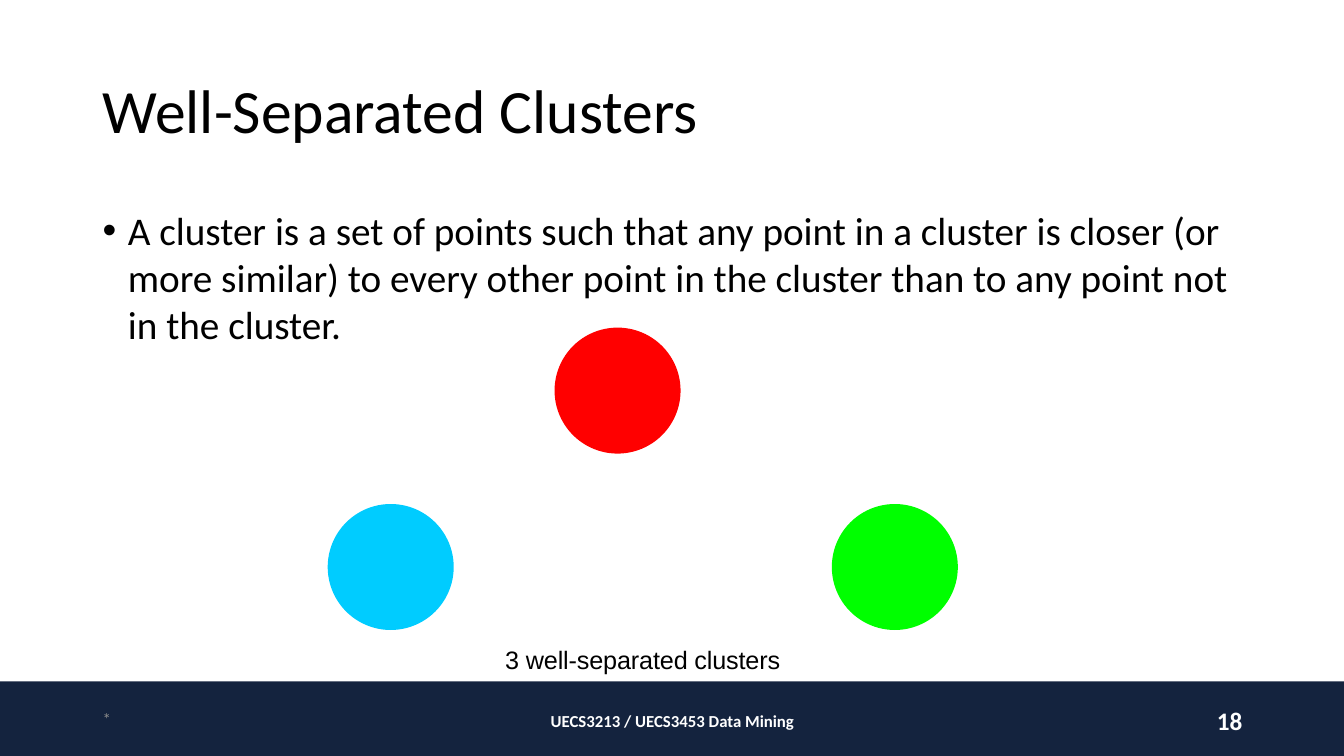
from lxml import etree
from pptx import Presentation
from pptx.dml.color import RGBColor
from pptx.enum import shapes, text
from pptx.oxml.ns import qn
from pptx.util import Inches, Pt

NAVY = RGBColor(0x14, 0x23, 0x3E)
BLACK = RGBColor(0, 0, 0)
WHITE = RGBColor(0xFF, 0xFF, 0xFF)
GREY = RGBColor(0x8C, 0x8C, 0x8C)
CYAN = RGBColor(0, 0xCC, 0xFF)
GREEN = RGBColor(0, 0xFF, 0)
RED = RGBColor(0xFF, 0, 0)

CLUSTER_SIZE = 1.25
CLUSTERS = [(3.25, 5, CYAN), (8.25, 5, GREEN), (5.5, 3.25, RED)]

MIDDLE = text.MSO_ANCHOR.MIDDLE
FOOTER = {"size": Pt(12), "bold": True}


def add_filled(s, kind, left, top, width, height, color):
    sp = s.shapes.add_shape(
        kind, Inches(left), Inches(top), Inches(width), Inches(height))
    sp.shadow.inherit = False
    sp.fill.solid()
    sp.fill.fore_color.rgb = color
    sp.line.fill.background()


def add_text(s, words, box, font, color=BLACK, frame=None, para=None, bullet=False):
    """Add a one-paragraph text box; font, frame and para hold format values."""
    tf = s.shapes.add_textbox(*map(Inches, box)).text_frame
    tf.word_wrap = True
    p = tf.paragraphs[0]
    if bullet:
        add_bullet(p)
    r = p.add_run()
    r.text = words
    r.font.color.rgb = color
    font = {"name": "Calibri", **font}
    for target, values in ((tf, frame), (p, para), (r.font, font)):
        for name, value in (values or {}).items():
            setattr(target, name, value)
    return r


def add_bullet(p):
    pPr = p._p.get_or_add_pPr()
    pPr.set("marL", str(Inches(0.25)))
    pPr.set("indent", str(-Inches(0.25)))
    etree.SubElement(pPr, qn("a:buFont")).set("typeface", "Arial")
    etree.SubElement(pPr, qn("a:buChar")).set("char", "•")


def add_footer(s):
    add_filled(s, shapes.MSO_SHAPE.RECTANGLE, 0, 6.76, 13.33, 0.74, NAVY)
    middle = {"vertical_anchor": MIDDLE}
    add_text(s, "*", (0.92, 6.93, 3, 0.4), {"size": Pt(12)}, GREY, middle)
    add_text(s, "UECS3213 / UECS3453 Data Mining", (4.42, 6.95, 4.5, 0.4),
             FOOTER, WHITE, middle, {"alignment": text.PP_ALIGN.CENTER})
    add_text(s, "18", (9.42, 6.95, 3, 0.4), {**FOOTER, "size": Pt(18)},
             WHITE, middle, {"alignment": text.PP_ALIGN.RIGHT})


def main():
    prs = Presentation()
    prs.slide_width, prs.slide_height = Inches(13.33), Inches(7.5)
    s = prs.slides.add_slide(prs.slide_layouts[6])

    add_footer(s)
    add_text(s, "Well-Separated Clusters", (0.92, 0.4, 11.5, 1.45),
             {"size": Pt(44)}, frame={"vertical_anchor": MIDDLE},
             para={"line_spacing": 0.9})
    add_text(s, "A cluster is a set of points such that any point in a cluster "
             "is closer (or more similar) to every other point in the cluster "
             "than to any point not in the cluster.",
             (0.92, 2, 11.5, 4.76), {"size": Pt(28)}, bullet=True)
    for left, top, color in CLUSTERS:
        add_filled(s, shapes.MSO_SHAPE.OVAL, left, top,
                   CLUSTER_SIZE, CLUSTER_SIZE, color)
    caption = add_text(
        s, "3 well-separated clusters", (5, 6.36, 2.79, 0.32),
        {"name": "Arial", "size": Pt(18)},
        frame={"margin_left": Inches(0.01), "margin_right": 0,
               "margin_top": Inches(0.03), "margin_bottom": 0})
    caption.font._element.set("spc", "-10")

    prs.save("out.pptx")


if __name__ == "__main__":
    main()
